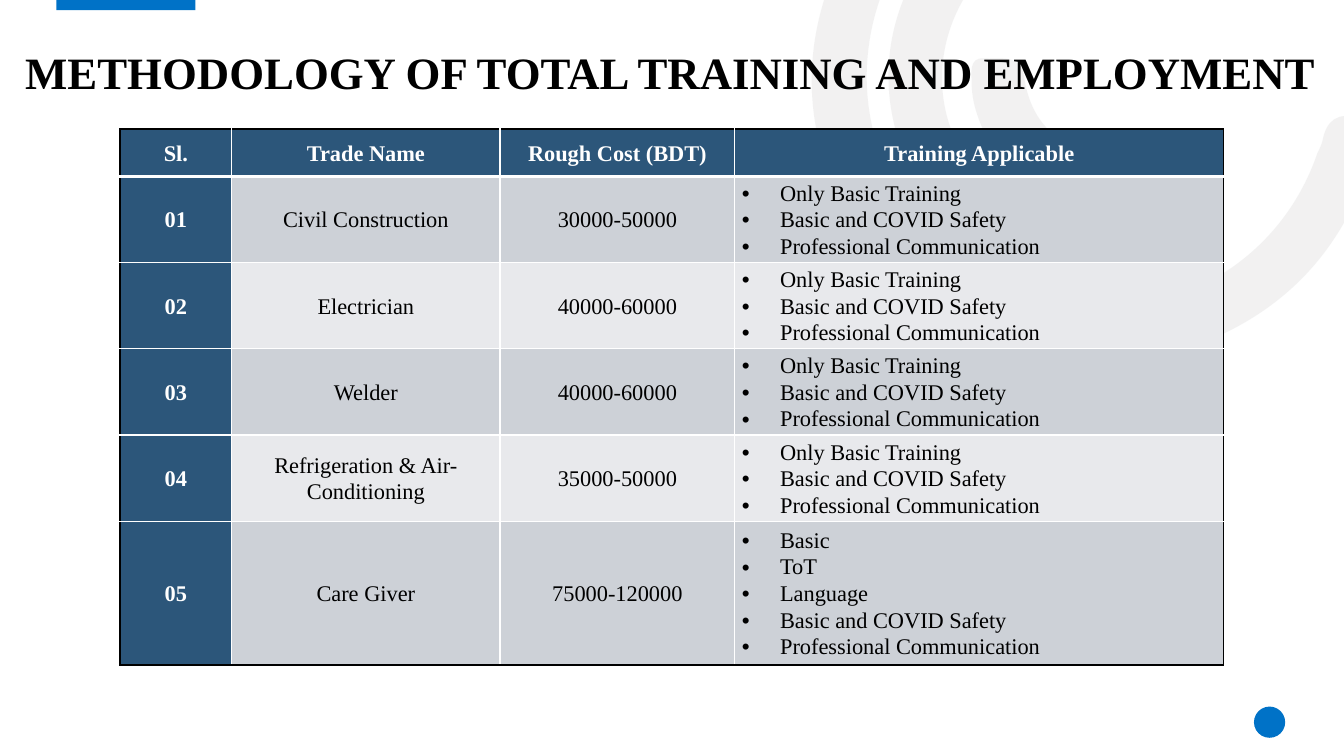
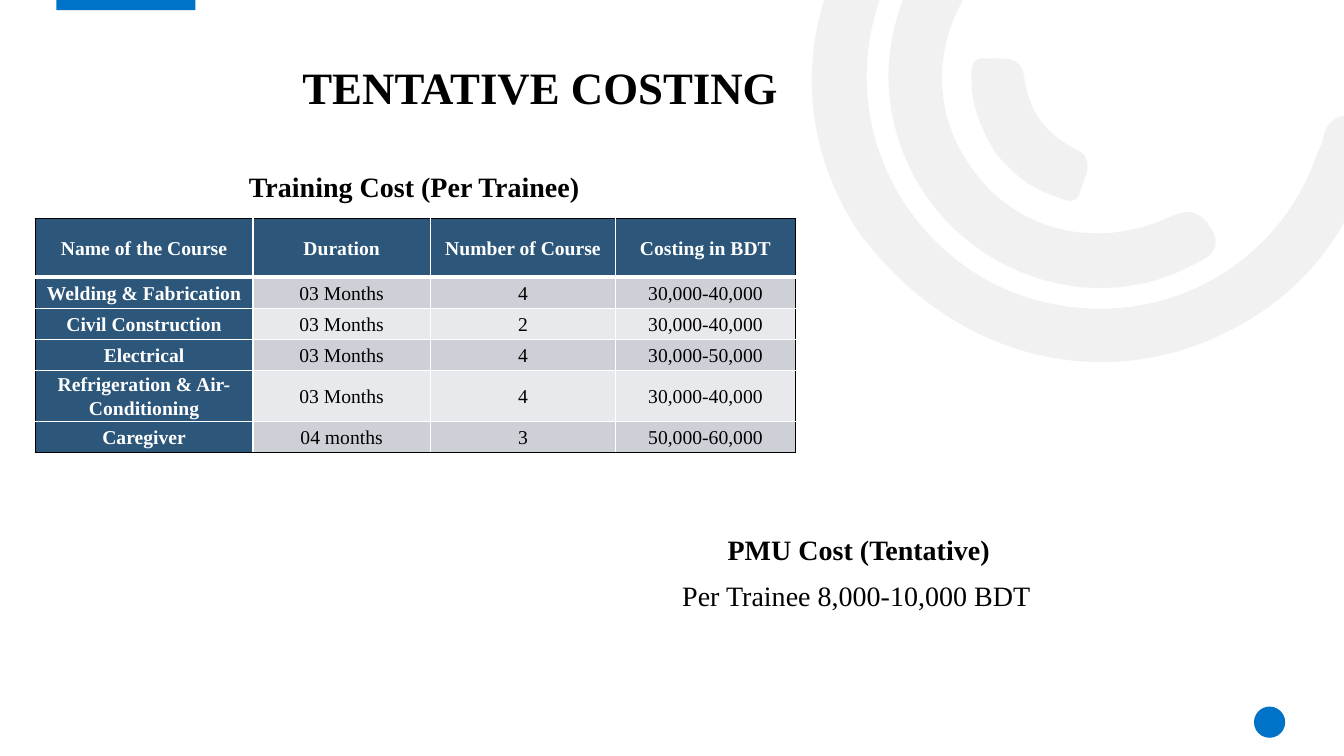
from dataclasses import dataclass

from pptx import Presentation
from pptx import presentation as pr
from pptx import slide as s
from pptx import table as t
from pptx import util as u
from pptx.dml import color as c
from pptx.dml import fill as f
from pptx.enum import shapes, text
from pptx.oxml import ns, xmlchemy
from pptx.text import text as tx

SCALE = 9144
FONT = "Times New Roman"
BLACK = c.RGBColor(0x00, 0x00, 0x00)
WHITE = c.RGBColor(0xFF, 0xFF, 0xFF)
NAVY = c.RGBColor(0x2C, 0x56, 0x7A)
BLUE = c.RGBColor(0x00, 0x72, 0xC7)
ARC_GRAY = c.RGBColor(0xE7, 0xE6, 0xE6)
BANDS = (c.RGBColor(0xCD, 0xD1, 0xD7), c.RGBColor(0xE8, 0xE9, 0xEC))
ARC_ALPHA = 53
SLIDE_HEIGHT = 750
BULLET_INDENT = 38
CELL_MARGIN = 7


@dataclass(frozen=True)
class Box:
    left: int
    top: int
    width: int
    height: int

    def emu(self) -> tuple[u.Emu, u.Emu, u.Emu, u.Emu]:
        return px(self.left), px(self.top), px(self.width), px(self.height)


@dataclass(frozen=True)
class Arc:
    start: tuple[int, int]
    curves: tuple[tuple[int, int, int, int, int, int], ...]


@dataclass(frozen=True)
class Grid:
    box: Box
    columns: tuple[int, ...]
    heights: tuple[int, ...]
    rows: tuple[tuple[str, ...], ...]
    size: int
    space_after: int = 0
    bullet_column: int | None = None


ARCS = (
    Arc((851, 229), (
        (799, 149, 787, 50, 838, -50),
        (890, -152, 976, -203, 1090, -207),
        (1105, -207, 1121, -210, 1131, -195),
        (1144, -175, 1127, -154, 1098, -154),
        (967, -154, 865, -59, 860, 68),
        (856, 181, 936, 281, 1046, 302),
        (1160, 324, 1270, 261, 1307, 152),
        (1309, 148, 1311, 144, 1312, 140),
        (1316, 119, 1327, 111, 1349, 117),
        (1373, 124, 1367, 141, 1361, 156),
        (1334, 245, 1278, 307, 1191, 341),
        (1070, 387, 936, 345, 851, 229),
    )),
    Arc((922, 199), (
        (862, 115, 869, 7, 940, -68),
        (951, -79, 962, -95, 980, -78),
        (995, -64, 997, -50, 979, -32),
        (925, 26, 920, 108, 965, 168),
        (1008, 229, 1088, 249, 1161, 215),
        (1182, 205, 1193, 212, 1203, 229),
        (1213, 250, 1197, 256, 1183, 263),
        (1096, 310, 983, 282, 922, 199),
    )),
    Arc((987, 151), (
        (975, 130, 964, 107, 964, 82),
        (964, 73, 961, 57, 976, 58),
        (992, 59, 1013, 53, 1016, 76),
        (1021, 110, 1036, 132, 1067, 148),
        (1088, 157, 1076, 176, 1072, 189),
        (1068, 206, 1055, 198, 1045, 194),
        (1021, 187, 1003, 170, 987, 151),
    )),
)

SAFETY = "Basic and COVID Safety\nProfessional Communication"
BASIC = f"Only Basic Training\n{SAFETY}"

TRADES = Grid(
    Box(119, 128, 1095, 523),
    (111, 266, 233, 485), (47, 65, 65, 65, 65, 65),
    (
        ("Sl.", "Trade Name", "Rough Cost (BDT)", "Training Applicable"),
        ("01", "Civil Construction", "30000-50000", BASIC),
        ("02", "Electrician", "40000-60000", BASIC),
        ("03", "Welder", "40000-60000", BASIC),
        ("04", "Refrigeration & Air-Conditioning", "35000-50000", BASIC),
        ("05", "Care Giver", "75000-120000", f"Basic\nToT\nLanguage\n{SAFETY}"),
    ),
    size=16, bullet_column=3,
)

COURSES = Grid(
    Box(35, 217, 753, 232),
    (216, 176, 184, 178), (58, 31, 31, 31, 39, 31),
    (
        ("Name of the Course", "Duration", "Number of Course", "Costing in BDT"),
        ("Welding & Fabrication", "03 Months", "4", "30,000-40,000"),
        ("Civil Construction", "03 Months", "2", "30,000-40,000"),
        ("Electrical", "03 Months", "4", "30,000-50,000"),
        ("Refrigeration & Air-Conditioning", "03 Months", "4", "30,000-40,000"),
        ("Caregiver", "04 months", "3", "50,000-60,000"),
    ),
    size=14, space_after=8,
)


def px(length: float) -> u.Emu:
    return u.Emu(round(length * SCALE))


def add_bullet(paragraph: tx._Paragraph) -> None:
    properties = paragraph._p.get_or_add_pPr()
    properties.set("marL", str(px(BULLET_INDENT)))
    properties.set("indent", str(px(-BULLET_INDENT)))
    font = properties.makeelement(ns.qn("a:buFont"), {"typeface": "Arial"})
    character = properties.makeelement(ns.qn("a:buChar"), {"char": "•"})
    properties.extend((font, character))


def write(
    frame: tx.TextFrame,
    content: str,
    *,
    size: int,
    bold: bool = False,
    color: c.RGBColor = BLACK,
    align: text.PP_ALIGN = text.PP_ALIGN.LEFT,
    spacing: float = 1.0,
    space_after: int = 0,
    bullet: bool = False,
) -> None:
    for index, line in enumerate(content.split("\n")):
        paragraph = frame.add_paragraph() if index else frame.paragraphs[0]
        paragraph.alignment = align
        paragraph.line_spacing = spacing
        paragraph.space_after = u.Pt(space_after)
        run = paragraph.add_run()
        run.text = line
        run.font.name = FONT
        run.font.size = u.Pt(size)
        run.font.bold = bold
        run.font.color.rgb = color
        if bullet:
            add_bullet(paragraph)


def paint(fill: f.FillFormat, color: c.RGBColor) -> None:
    fill.solid()
    fill.fore_color.rgb = color


def curve_segments(properties: xmlchemy.BaseOxmlElement) -> None:
    lines = list(properties.iter(ns.qn("a:lnTo")))
    for first, second, third in zip(lines[::3], lines[1::3], lines[2::3]):
        curve = first.makeelement(ns.qn("a:cubicBezTo"), {})
        first.addprevious(curve)
        for line in (first, second, third):
            curve.append(line[0])
            line.getparent().remove(line)


def add_arc(slide: s.Slide, arc: Arc) -> None:
    points = [
        (px(x), px(y))
        for curve in arc.curves
        for x, y in zip(curve[::2], curve[1::2])
    ]
    start_x, start_y = arc.start
    builder = slide.shapes.build_freeform(px(start_x), px(start_y), scale=1.0)
    builder.add_line_segments(points, close=True)
    shape = builder.convert_to_shape()
    shape.shadow.inherit = False
    paint(shape.fill, ARC_GRAY)
    shape.line.fill.background()
    properties = shape._element.spPr
    curve_segments(properties)
    color = properties.find(f".//{ns.qn('a:srgbClr')}")
    alpha = color.makeelement(ns.qn("a:alpha"), {"val": str(ARC_ALPHA * 1000)})
    color.append(alpha)


def add_accent(slide: s.Slide, kind: shapes.MSO_SHAPE, box: Box) -> None:
    shape = slide.shapes.add_shape(kind, *box.emu())
    shape.shadow.inherit = False
    paint(shape.fill, BLUE)
    shape.line.fill.background()


def add_title(slide: s.Slide, content: str, box: Box) -> None:
    frame = slide.shapes.add_textbox(*box.emu()).text_frame
    frame.word_wrap = True
    frame.vertical_anchor = text.MSO_ANCHOR.BOTTOM
    frame.margin_left = frame.margin_right = 0
    frame.margin_top = frame.margin_bottom = 0
    write(frame, content, size=32, bold=True, spacing=0.9)


def add_label(slide: s.Slide, content: str, box: Box, *, bold: bool = True,
              spacing: float = 1.0) -> None:
    frame = slide.shapes.add_textbox(*box.emu()).text_frame
    frame.word_wrap = True
    write(frame, content, size=20, bold=bold, spacing=spacing)


def add_border(properties: xmlchemy.BaseOxmlElement, side: str,
               color: c.RGBColor, width: int) -> None:
    line = properties.makeelement(ns.qn(f"a:ln{side}"), {"w": str(u.Pt(width))})
    fill = line.makeelement(ns.qn("a:solidFill"), {})
    fill.append(fill.makeelement(ns.qn("a:srgbClr"), {"val": str(color)}))
    line.append(fill)
    properties.append(line)


def draw_cell(cell: t._Cell, grid: Grid, row: int, column: int) -> None:
    last_row, last_column = len(grid.rows) - 1, len(grid.columns) - 1
    outer = {"L": column == 0, "R": column == last_column,
             "T": row == 0, "B": row == last_row}
    properties = cell._tc.get_or_add_tcPr()
    for side, is_outer in outer.items():
        width = 3 if row == 0 and side == "B" else 1
        add_border(properties, side, BLACK if is_outer else WHITE, width)

    heading = row == 0 or column == 0
    bullet = column == grid.bullet_column and not heading
    paint(cell.fill, NAVY if heading else BANDS[(row - 1) % 2])
    cell.vertical_anchor = text.MSO_ANCHOR.MIDDLE
    cell.margin_left = cell.margin_right = px(CELL_MARGIN)
    cell.margin_top = cell.margin_bottom = 0
    write(
        cell.text_frame, grid.rows[row][column],
        size=grid.size, bold=heading, color=WHITE if heading else BLACK,
        align=text.PP_ALIGN.JUSTIFY if bullet else text.PP_ALIGN.CENTER,
        spacing=1.07, space_after=grid.space_after, bullet=bullet,
    )


def add_grid(slide: s.Slide, grid: Grid) -> None:
    shape = slide.shapes.add_table(
        len(grid.rows), len(grid.columns), *grid.box.emu())
    table = shape.table
    for column, width in zip(table.columns, grid.columns):
        column.width = px(width)
    for row, height in enumerate(grid.heights):
        table.rows[row].height = px(height)
        for column in range(len(grid.columns)):
            draw_cell(table.cell(row, column), grid, row, column)
    shape.height = px(grid.box.height)


def add_slide(presentation: pr.Presentation, title: str, box: Box) -> s.Slide:
    slide = presentation.slides.add_slide(presentation.slide_layouts[6])
    for arc in ARCS:
        add_arc(slide, arc)
    add_accent(slide, shapes.MSO_SHAPE.RECTANGLE, Box(56, -2, 138, 12))
    add_accent(slide, shapes.MSO_SHAPE.OVAL, Box(1244, 701, 31, 31))
    add_title(slide, title, box)
    return slide


def main() -> None:
    presentation = Presentation()
    presentation.slide_width = px(SLIDE_HEIGHT * 16 / 9)
    presentation.slide_height = px(SLIDE_HEIGHT)

    methodology = add_slide(
        presentation, "METHODOLOGY OF TOTAL TRAINING AND EMPLOYMENT",
        Box(25, 47, 1284, 51))
    add_grid(methodology, TRADES)

    costing = add_slide(
        presentation, "TENTATIVE COSTING", Box(300, 62, 488, 51))
    add_grid(costing, COURSES)
    add_label(costing, "Per Trainee 8,000-10,000 BDT", Box(667, 567, 373, 44),
              bold=False, spacing=1.07)
    add_label(costing, "Training Cost (Per Trainee)", Box(237, 163, 349, 44))
    add_label(costing, "PMU Cost (Tentative)", Box(712, 523, 282, 44))

    presentation.save("out.pptx")


if __name__ == "__main__":
    main()
